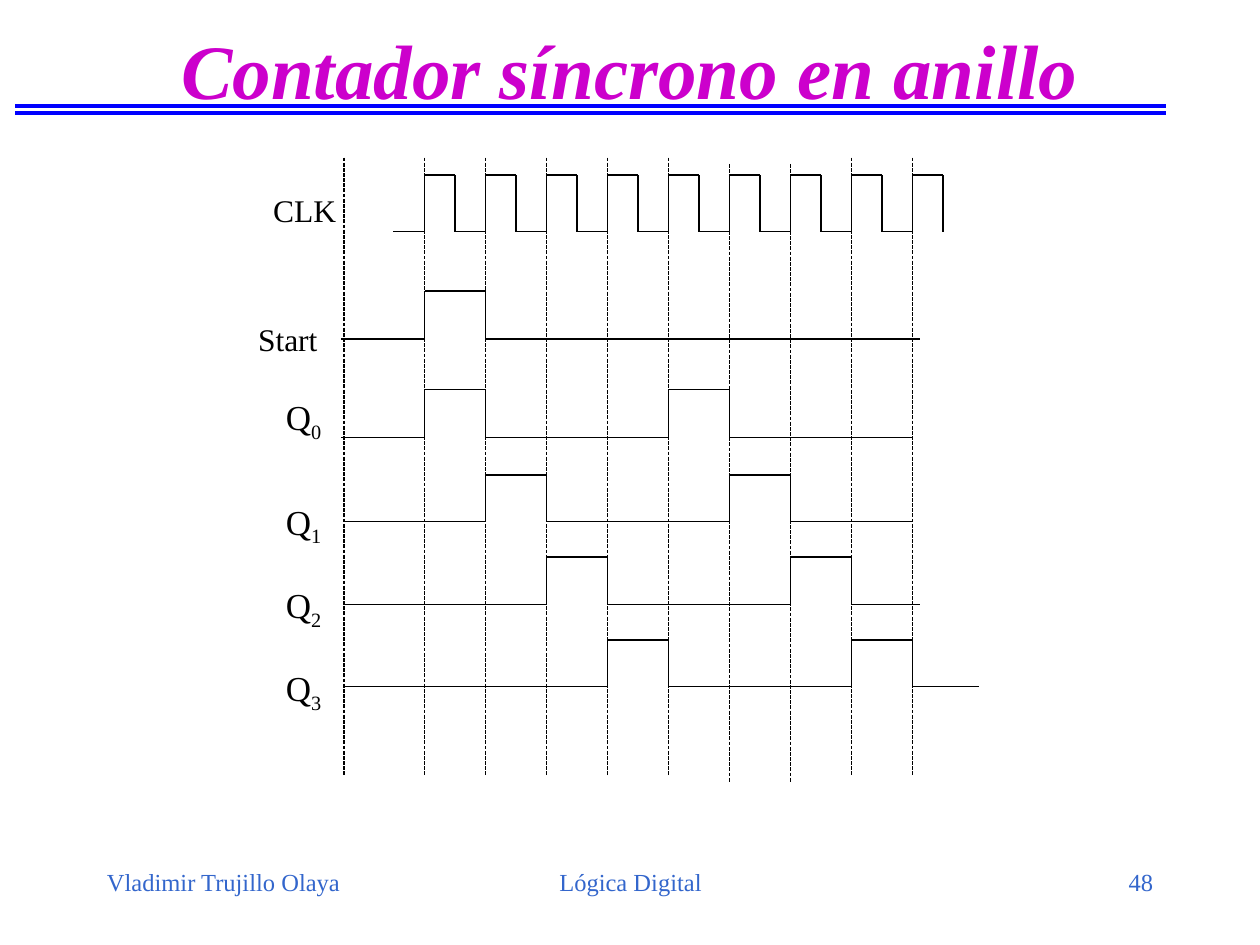
from itertools import pairwise

from lxml import etree
from pptx import Presentation
from pptx.dml.color import RGBColor
from pptx.enum.dml import MSO_LINE
from pptx.enum.shapes import MSO_CONNECTOR
from pptx.enum.text import MSO_ANCHOR, PP_ALIGN as Align
from pptx.oxml.ns import qn
from pptx.util import Inches, Pt

BLACK = RGBColor(0x00, 0x00, 0x00)
BLUE = RGBColor(0x00, 0x00, 0xFF)
MAGENTA = RGBColor(0xCC, 0x00, 0xCC)
FOOTER_BLUE = RGBColor(0x33, 0x66, 0xCC)
FONT = "Times New Roman"

# Clock edges, evenly spaced
PERIOD = 0.484
EDGES = [3.37 + PERIOD * i for i in range(9)]
AXIS_LEFT = 2.73

# Label, subscript, label left, label top, high, low, start, end, pulses
SIGNALS = [
    ("Start", "", 1.95, 2.49, 2.31, 2.69, 2.71, 7.3, [0]),
    ("Q", "0", 2.17, 3.09, 3.09, 3.47, 2.71, 7.24, [0, 4]),
    ("Q", "1", 2.17, 3.92, 3.77, 4.14, AXIS_LEFT, 7.24, [1, 5]),
    ("Q", "2", 2.17, 4.58, 4.42, 4.8, AXIS_LEFT, 7.3, [2, 6]),
    ("Q", "3", 2.17, 5.24, 5.08, 5.45, AXIS_LEFT, 7.77, [3, 7]),
]


def add_line(slide, start, end, color=BLACK, width=0.75, dash=None):
    points = [Inches(value) for value in (*start, *end)]
    connector = slide.shapes.add_connector(MSO_CONNECTOR.STRAIGHT, *points)
    connector.line.color.rgb = color
    connector.line.width = Pt(width)
    if dash:
        connector.line.dash_style = dash
    properties = connector._element.find(qn("p:spPr"))
    etree.SubElement(properties, qn("a:effectLst"))


def add_wave(slide, points):
    for start, end in pairwise(points):
        add_line(slide, start, end)


def pulse_points(edges, width, high, low):
    points = []
    for x in edges:
        points += [(x, low), (x, high), (x + width, high), (x + width, low)]
    return points


def format_runs(paragraph, size, color):
    for run in paragraph.runs:
        run.font.name = FONT
        run.font.size = Pt(size)
        run.font.color.rgb = color


def add_text(slide, text, box, size, color=BLACK, align=Align.LEFT, subscript=""):
    shape = slide.shapes.add_textbox(*[Inches(value) for value in box])
    shape.text_frame.word_wrap = True
    paragraph = shape.text_frame.paragraphs[0]
    paragraph.text = text
    paragraph.alignment = align
    if subscript:
        run = paragraph.add_run()
        run.text = subscript
        run.font._element.set("baseline", "-25000")
    format_runs(paragraph, size, color)


def add_title(slide, text):
    title = slide.shapes.title
    title.left, title.top = Inches(0.75), Inches(-0.08)
    title.width, title.height = Inches(8.5), Inches(1.25)
    title.text_frame.text = text
    title.text_frame.vertical_anchor = MSO_ANCHOR.MIDDLE
    paragraph = title.text_frame.paragraphs[0]
    paragraph.alignment = Align.CENTER
    format_runs(paragraph, 44, MAGENTA)
    paragraph.runs[0].font.bold = True
    paragraph.runs[0].font.italic = True
    # Bring the title in front of the rules
    title._element.getparent().append(title._element)


def add_guides(slide):
    for index, x in enumerate([AXIS_LEFT, *EDGES]):
        top = 1.3 if index in (6, 7) else 1.25
        add_line(slide, (x, top), (x, top + 4.91), dash=MSO_LINE.SQUARE_DOT)


def add_clock(slide):
    add_text(slide, "CLK", (2.07, 1.47, 1.05, 0.4), 18)
    pulses = pulse_points(EDGES, PERIOD / 2, 1.39, 1.84)
    add_wave(slide, [(3.12, 1.84), *pulses])


def add_signals(slide):
    for label, subscript, left, top, high, low, start, end, pulses in SIGNALS:
        box = (left, top, 0.54, 0.48) if subscript else (left, top, 0.76, 0.4)
        add_text(slide, label, box, 20 if subscript else 18, subscript=subscript)
        points = pulse_points([EDGES[i] for i in pulses], PERIOD, high, low)
        points = [(start, low), *points]
        if end > points[-1][0]:
            points.append((end, low))
        add_wave(slide, points)


def add_footer(slide):
    for text, left, width, align in [
        ("Vladimir Trujillo Olaya", 0.75, 2.08, Align.LEFT),
        ("Lógica Digital", 3.42, 3.17, Align.CENTER),
        ("48", 7.17, 2.08, Align.RIGHT),
    ]:
        add_text(slide, text, (left, 6.83, width, 0.5), 14, FOOTER_BLUE, align)


def main():
    presentation = Presentation()
    presentation.slide_width = Inches(10)
    presentation.slide_height = Inches(7.5)
    slide = presentation.slides.add_slide(presentation.slide_layouts[5])

    # Timing diagram
    add_guides(slide)
    add_clock(slide)
    add_signals(slide)

    # Double rule, title and footer
    for y in (0.84, 0.9):
        add_line(slide, (0.12, y), (9.25, y), BLUE, 2.25)
    add_title(slide, "Contador síncrono en anillo")
    add_footer(slide)

    presentation.save("out.pptx")


if __name__ == "__main__":
    main()
